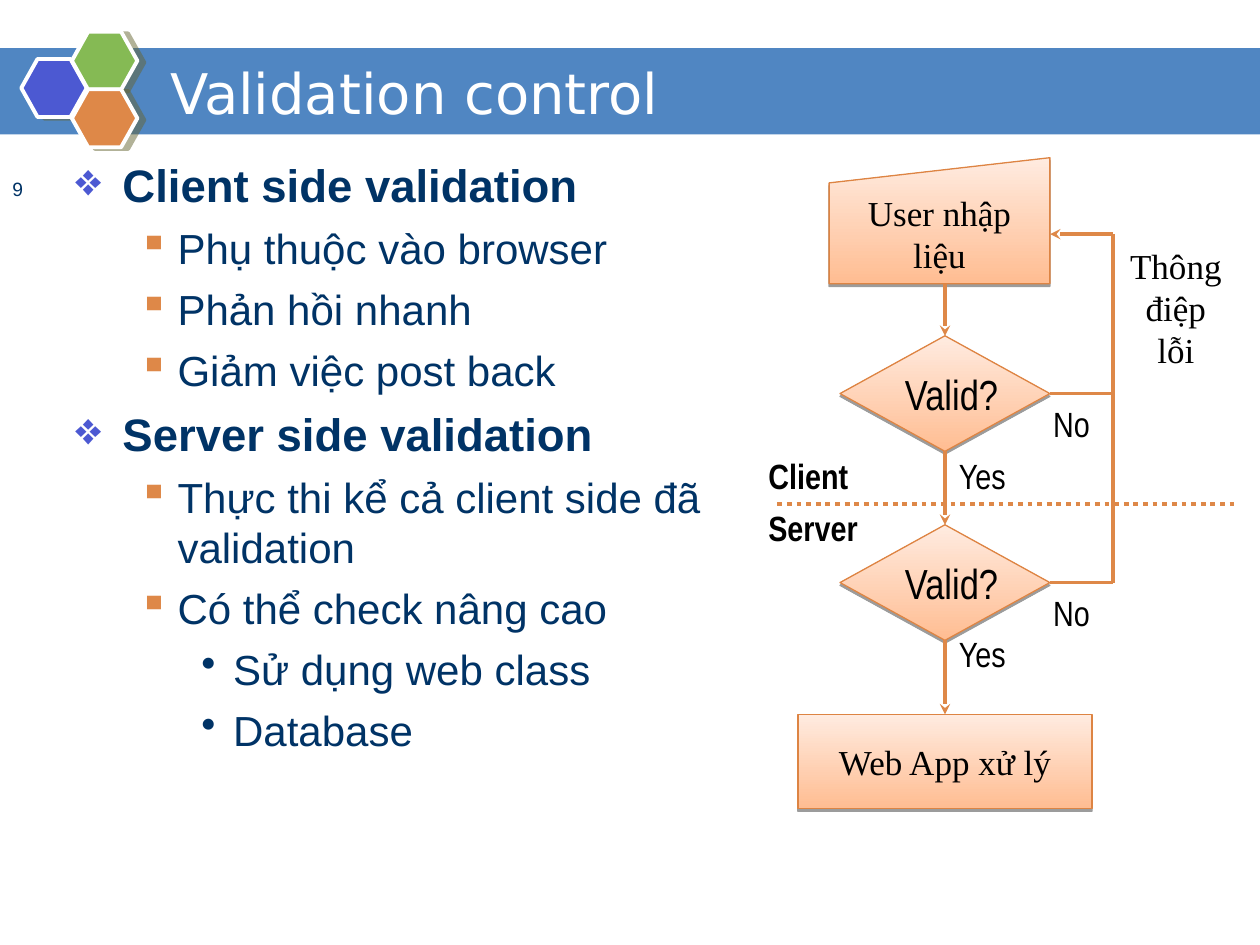
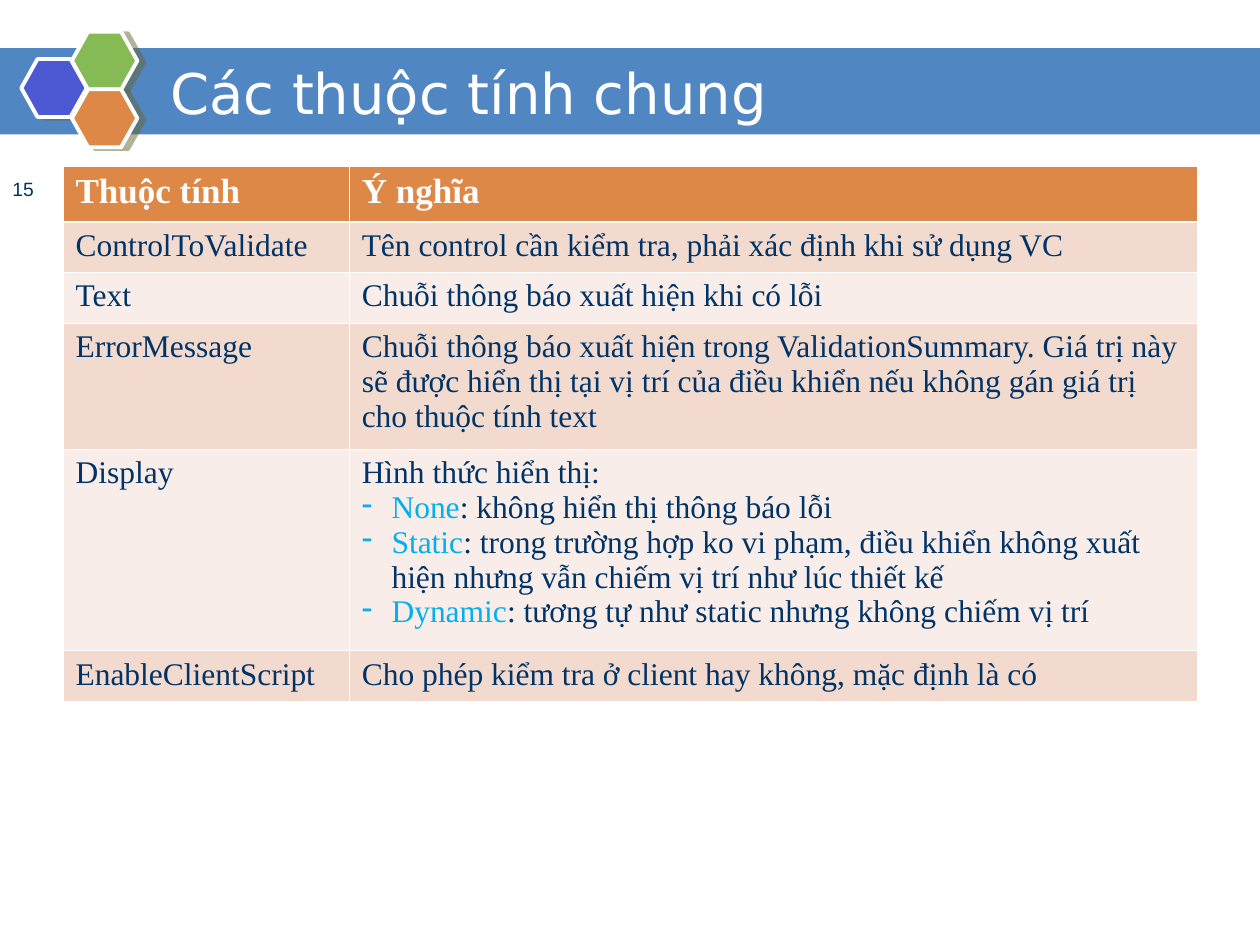
from dataclasses import dataclass

from pptx import Presentation
from pptx.dml.color import RGBColor
from pptx.enum.dml import MSO_LINE
from pptx.enum.shapes import MSO_CONNECTOR, MSO_SHAPE
from pptx.enum.text import MSO_ANCHOR, MSO_AUTO_SIZE, PP_ALIGN
from pptx.oxml.ns import qn
from pptx.oxml.xmlchemy import OxmlElement
from pptx.util import Cm, Pt

LEFT, CENTER = PP_ALIGN.LEFT, PP_ALIGN.CENTER
MIDDLE = MSO_ANCHOR.MIDDLE
DECISION = MSO_SHAPE.FLOWCHART_DECISION
MANUAL_INPUT = MSO_SHAPE.FLOWCHART_MANUAL_INPUT
PROCESS = MSO_SHAPE.FLOWCHART_PROCESS


@dataclass(frozen=True)
class Theme:
    white: str = "FFFFFF"
    black: str = "000000"
    navy: str = "003366"
    band: str = "5086C2"
    violet: str = "4C59D2"
    green: str = "85BA54"
    orange: str = "DE8848"
    node_line: str = "DD8443"
    node_dark: str = "FFBD92"
    node_light: str = "FFEBE0"
    olive: str = "666633"
    cyan: str = "00B0F0"
    row_dark: str = "F3DACF"
    row_light: str = "F9EDE9"
    sans: str = "Arial"
    narrow: str = "Arial Narrow"
    serif: str = "Times New Roman"
    title_font: str = "DejaVu Sans"
    title: int = 32
    heading: int = 26
    body: int = 24
    label: int = 20
    cell: int = 18
    number: int = 11


THEME = Theme()

# Content: slide 1
VALIDATION_TITLE, VALIDATION_NUMBER = "Validation control", "9"
OUTLINE = [
    (0, "Client side validation"),
    (1, "Phụ thuộc vào browser"),
    (1, "Phản hồi nhanh"),
    (1, "Giảm việc post back"),
    (0, "Server side validation"),
    (1, "Thực thi kể cả client side đã\vvalidation"),
    (1, "Có thể check nâng cao"),
    (2, "Sử dụng web class"),
    (2, "Database"),
]
# Level: bullet, bullet colour, text indent (cm), hanging (cm), size, bold, space before (pt)
LEVELS = [
    ("❖", THEME.violet, 0.95, 0.95, THEME.heading, True, 6.5),
    ("▪", THEME.orange, 2.06, 0.79, THEME.body, False, 6),
    ("•", THEME.navy, 3.18, 0.64, THEME.body, False, 6),
]
# Flow steps: shape, lines, centre x, top, width, height (cm), font, size, alignment
FLOW_X = 19.05
STEPS = [
    (MANUAL_INPUT, ["User nhập", "liệu"], 18.94, 3.18, 4.45, 2.54, THEME.serif, THEME.label, CENTER),
    (DECISION, ["Valid?"], FLOW_X, 6.77, 4.23, 2.33, THEME.narrow, THEME.body, LEFT),
    (DECISION, ["Valid?"], FLOW_X, 10.58, 4.23, 2.33, THEME.narrow, THEME.body, LEFT),
    (PROCESS, ["Web App xử lý"], FLOW_X, 14.4, 5.93, 1.9, THEME.serif, THEME.label, CENTER),
]
# Flow labels: lines, left, top, width (cm), font, bold, alignment
LABELS = [
    (["No"], 20.98, 7.98, 1.24, THEME.narrow, False, LEFT),
    (["No"], 20.98, 11.79, 1.24, THEME.narrow, False, LEFT),
    (["Yes"], 19.08, 9.04, 1.5, THEME.narrow, False, LEFT),
    (["Yes"], 19.08, 12.62, 1.5, THEME.narrow, False, LEFT),
    (["Client"], 15.24, 9.04, 2.11, THEME.narrow, True, LEFT),
    (["Server"], 15.24, 10.08, 2.31, THEME.narrow, True, LEFT),
    (["Thông", "điệp", "lỗi"], 22.45, 4.8, 2.51, THEME.serif, False, CENTER),
]

# Content: slide 2
PROPERTIES_TITLE, PROPERTIES_NUMBER = "Các thuộc tính chung", "15"
# Rows: height (cm), property, paragraphs of the meaning; a pair is a bulleted term
PROPERTIES = [
    (1.12, "Thuộc tính", ["Ý nghĩa"]),
    (1.02, "ControlToValidate", ["Tên control cần kiểm tra, phải xác định khi sử dụng VC"]),
    (1.02, "Text", ["Chuỗi thông báo xuất hiện khi có lỗi"]),
    (2.54, "ErrorMessage", [
        "Chuỗi thông báo xuất hiện trong ValidationSummary. Giá trị này sẽ được hiển thị "
        "tại vị trí của điều khiển nếu không gán giá trị cho thuộc tính text"]),
    (4.06, "Display", [
        "Hình thức hiển thị:",
        ("None", ": không hiển thị thông báo lỗi"),
        ("Static", ": trong trường hợp ko vi phạm, điều khiển không xuất hiện "
                   "nhưng vẫn chiếm vị trí như lúc thiết kế"),
        ("Dynamic", ": tương tự như static nhưng không chiếm vị trí")]),
    (1.02, "EnableClientScript", ["Cho phép kiểm tra ở client hay không, mặc định là có"]),
]
COLUMN_WIDTHS = [5.77, 17.09]

# Shared hexagon mark: left, top (cm), colour
HEXAGONS = [(0.43, 1.19, THEME.violet), (1.45, 0.64, THEME.green), (1.45, 1.8, THEME.orange)]


def rgb(value):
    return RGBColor.from_string(value)


def element(parent, tag, **attributes):
    child = OxmlElement(tag)
    for name, value in attributes.items():
        child.set(name, str(value))
    parent.append(child)
    return child


def paragraphs_of(frame, count):
    return [frame.paragraphs[0]] + [frame.add_paragraph() for _ in range(count - 1)]


def style(paragraph, font, size, color, bold=False, align=LEFT):
    paragraph.alignment = align
    paragraph.font.name = font
    paragraph.font.size = Pt(size)
    paragraph.font.bold = bold
    paragraph.font.color.rgb = rgb(color)
    for run in paragraph.runs:
        run.font.color.rgb = rgb(color)


def add_bullet(paragraph, character, color, indent, hanging):
    properties = paragraph._p.get_or_add_pPr()
    properties.set("marL", str(Cm(indent)))
    properties.set("indent", str(-Cm(hanging)))
    element(element(properties, "a:buClr"), "a:srgbClr", val=color)
    element(properties, "a:buChar", char=character)


def write(frame, lines, font, size, color, bold=False, align=LEFT):
    for paragraph, line in zip(paragraphs_of(frame, len(lines)), lines):
        paragraph.text = line
        style(paragraph, font, size, color, bold, align)


def add_text_box(slide, left, top, width, height, wrap=True):
    frame = slide.shapes.add_textbox(Cm(left), Cm(top), Cm(width), Cm(height)).text_frame
    frame.word_wrap = wrap
    return frame


def add_shape(slide, kind, left, top, width, height, fill=None, line=None, line_width=0.75):
    shape = slide.shapes.add_shape(kind, Cm(left), Cm(top), Cm(width), Cm(height))
    shape.shadow.inherit = False
    if fill:
        shape.fill.solid()
        shape.fill.fore_color.rgb = rgb(fill)
    if line:
        shape.line.color.rgb = rgb(line)
        shape.line.width = Pt(line_width)
    else:
        shape.line.fill.background()
    return shape


def add_shadow(shape, color, opacity, distance, angle):
    effects = shape._element.spPr.find(qn("a:effectLst"))
    shadow = element(effects, "a:outerShdw", blurRad=0, dist=Pt(distance),
                     dir=angle * 60000, algn="ctr", rotWithShape=0)
    element(element(shadow, "a:srgbClr", val=color), "a:alpha", val=opacity * 1000)


def add_line(slide, x1, y1, x2, y2, width=2.0, arrow=False, dash=None):
    connector = slide.shapes.add_connector(
        MSO_CONNECTOR.STRAIGHT, Cm(x1), Cm(y1), Cm(x2), Cm(y2))
    connector.line.color.rgb = rgb(THEME.orange)
    connector.line.width = Pt(width)
    if dash:
        connector.line.dash_style = dash
    properties = connector._element.spPr
    if arrow:
        element(properties.find(qn("a:ln")), "a:tailEnd", type="stealth")
    element(properties, "a:effectLst")


def add_base_slide(presentation, title, number):
    slide = presentation.slides.add_slide(presentation.slide_layouts[6])
    # Band and hexagon mark
    add_shape(slide, MSO_SHAPE.RECTANGLE, 0, 0.97, 25.4, 1.74, THEME.band)
    for left, top, color in HEXAGONS:
        hexagon = add_shape(slide, MSO_SHAPE.HEXAGON, left, top, 1.32, 1.17,
                            color, THEME.white, 2.25)
        hexagon.adjustments[0] = 0.28
        add_shadow(hexagon, THEME.olive, 50, 4.1, 14)
    # Title and page number
    frame = add_text_box(slide, 3.18, 1.07, 18.62, 1.57)
    frame.vertical_anchor = MIDDLE
    write(frame, [title], THEME.title_font, THEME.title, THEME.white)
    frame = add_text_box(slide, 0, 3.53, 1.47, 0.69)
    write(frame, [number], THEME.sans, THEME.number, THEME.navy)
    frame.paragraphs[0].line_spacing = 0.8
    return slide


def add_outline(slide):
    frame = add_text_box(slide, 1.27, 3.05, 22.86, 14.58)
    for index, (paragraph, (level, text)) in enumerate(
            zip(paragraphs_of(frame, len(OUTLINE)), OUTLINE)):
        character, color, indent, hanging, size, bold, space = LEVELS[level]
        paragraph.text = text
        paragraph.level = level
        if index:
            paragraph.space_before = Pt(space)
        add_bullet(paragraph, character, color, indent, hanging)
        style(paragraph, THEME.sans, size, THEME.navy, bold)


def add_flow(slide):
    # Steps
    for kind, lines, center, top, width, height, font, size, align in STEPS:
        step = add_shape(slide, kind, center - width / 2, top, width, height, line=THEME.node_line)
        step.fill.gradient()
        step.fill.gradient_angle = 90
        for stop, color in zip(step.fill.gradient_stops, (THEME.node_dark, THEME.node_light)):
            stop.color.rgb = rgb(color)
        add_shadow(step, THEME.black, 38, 1.6, 90)
        step.text_frame.word_wrap = False
        step.text_frame.vertical_anchor = MIDDLE
        write(step.text_frame, lines, font, size, THEME.black, align=align)
    # Arrows from each step to the next
    for upper, lower in zip(STEPS, STEPS[1:]):
        add_line(slide, FLOW_X, upper[3] + upper[5], FLOW_X, lower[3], arrow=True)
    # Return path of the two failed checks
    edge, return_x, return_y = 21.17, 22.44, 4.72
    checks = [top + height / 2 for kind, _, _, top, _, height, *_ in STEPS if kind == DECISION]
    for middle in checks:
        add_line(slide, edge, middle, return_x, middle)
    add_line(slide, return_x, return_y, return_x, checks[-1])
    add_line(slide, return_x, return_y, edge, return_y, arrow=True)
    # Border between client and server
    add_line(slide, 15.67, 10.16, 24.97, 10.16, width=2.75, dash=MSO_LINE.ROUND_DOT)
    # Labels
    for lines, left, top, width, font, bold, align in LABELS:
        frame = add_text_box(slide, left, top, width, 0.25 + 0.85 * len(lines), wrap=False)
        frame.auto_size = MSO_AUTO_SIZE.SHAPE_TO_FIT_TEXT
        write(frame, lines, font, THEME.label, THEME.black, bold, align)


def style_cell(cell, row):
    properties = cell._tc.get_or_add_tcPr()
    for side in "LRTB":
        heavy = (row, side) in ((0, "B"), (1, "T"))
        border = element(properties, f"a:ln{side}", w=Pt(1.47 if heavy else 0.45))
        element(element(border, "a:solidFill"), "a:srgbClr", val=THEME.white)
    banding = THEME.row_dark if row % 2 else THEME.row_light
    cell.fill.solid()
    cell.fill.fore_color.rgb = rgb(banding if row else THEME.orange)


def add_property_table(slide):
    total_height = sum(height for height, *_ in PROPERTIES)
    table = slide.shapes.add_table(
        len(PROPERTIES), len(COLUMN_WIDTHS), Cm(1.27), Cm(3.35),
        Cm(sum(COLUMN_WIDTHS)), Cm(total_height)).table
    table.first_row = table.horz_banding = False
    for column, width in zip(table.columns, COLUMN_WIDTHS):
        column.width = Cm(width)
    for row, (height, name, meaning) in enumerate(PROPERTIES):
        table.rows[row].height = Cm(height)
        size = THEME.cell if row else THEME.label
        color = THEME.navy if row else THEME.white
        for column, lines in enumerate(([name], meaning)):
            cell = table.cell(row, column)
            style_cell(cell, row)
            for paragraph, line in zip(paragraphs_of(cell.text_frame, len(lines)), lines):
                is_term = isinstance(line, tuple)
                if is_term:
                    add_bullet(paragraph, "-", THEME.cyan, 0.6, 0.6)
                for text in line if is_term else (line,):
                    paragraph.add_run().text = text
                style(paragraph, THEME.serif, size, color, bold=row == 0)
                if is_term:
                    paragraph.runs[0].font.color.rgb = rgb(THEME.cyan)


def main():
    presentation = Presentation()
    presentation.slide_width, presentation.slide_height = Cm(25.4), Cm(19.05)
    slide = add_base_slide(presentation, VALIDATION_TITLE, VALIDATION_NUMBER)
    add_outline(slide)
    add_flow(slide)
    slide = add_base_slide(presentation, PROPERTIES_TITLE, PROPERTIES_NUMBER)
    add_property_table(slide)
    presentation.save("out.pptx")


if __name__ == "__main__":
    main()
